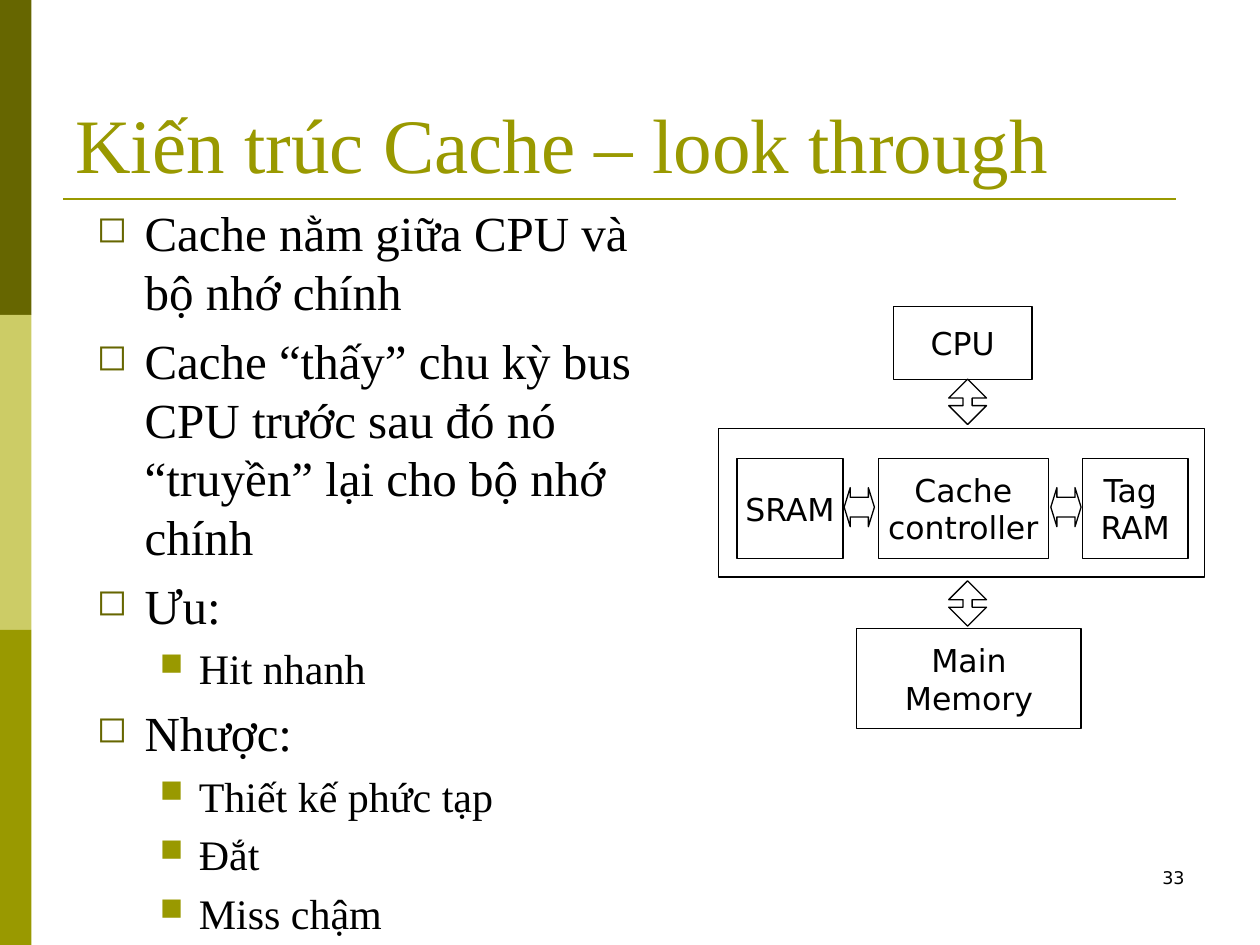
from typing import NamedTuple

from lxml import etree
from pptx import Presentation
from pptx.dml.color import RGBColor
from pptx.enum.shapes import MSO_CONNECTOR, MSO_SHAPE as Shape
from pptx.enum.text import MSO_ANCHOR as Anchor, PP_ALIGN as Align
from pptx.oxml.ns import qn
from pptx.util import Inches, Pt

SERIF, SANS = "Times New Roman", "DejaVu Sans"
BLACK, DARK_OLIVE, OLIVE, PALE_OLIVE = "000000", "666600", "999900", "CCCC66"


class Box(NamedTuple):
    left: float
    top: float
    width: float
    height: float

    def lengths(self):
        return [Inches(side) for side in self]


class Level(NamedTuple):
    margin: float
    hanging: float
    bullet: str
    bullet_color: str
    size: int


class Block(NamedTuple):
    box: Box
    lines: tuple[str, ...] = ()


class Arrow(NamedTuple):
    kind: Shape
    box: Box
    head: float


LEVELS = (
    Level(0.38, 0.38, "◻", DARK_OLIVE, 28),
    Level(0.81, 0.31, "■", OLIVE, 24),
)

POINTS = (
    (0, "Cache nằm giữa CPU và bộ nhớ chính"),
    (0, "Cache “thấy” chu kỳ bus CPU trước sau đó nó “truyền” lại cho bộ nhớ chính"),
    (0, "Ưu:"),
    (1, "Hit nhanh"),
    (0, "Nhược:"),
    (1, "Thiết kế phức tạp"),
    (1, "Đắt"),
    (1, "Miss chậm"),
)

BLOCKS = (
    Block(Box(8.59, 3.64, 0.84, 0.79), ("Tag ", "RAM")),
    Block(Box(5.7, 3.4, 3.86, 1.18)),
    Block(Box(6.8, 4.99, 1.78, 0.79), ("Main", "Memory")),
    Block(Box(7.09, 2.43, 1.1, 0.58), ("CPU",)),
    Block(Box(6.97, 3.64, 1.35, 0.79), ("Cache", "controller")),
    Block(Box(5.85, 3.64, 0.84, 0.79), ("SRAM",)),
)

ARROWS = (
    *(Arrow(Shape.LEFT_RIGHT_ARROW, Box(x, 3.87, 0.24, 0.31), 0.2) for x in (6.7, 8.34)),
    *(Arrow(Shape.UP_DOWN_ARROW, Box(7.53, y, 0.3, 0.36), 0.24) for y in (3.01, 4.61)),
)


def color(hex_code: str) -> RGBColor:
    return RGBColor.from_string(hex_code)


def add_run(paragraph, text: str, size: int, font: str, hex_code: str = BLACK) -> None:
    run = paragraph.add_run()
    run.text = text
    run.font.size = Pt(size)
    run.font.name = font
    run.font.color.rgb = color(hex_code)


def add_text_frame(slide, box: Box, anchor=Anchor.TOP):
    frame = slide.shapes.add_textbox(*box.lengths()).text_frame
    frame.word_wrap = True
    frame.vertical_anchor = anchor
    return frame


def set_bullet(paragraph, level: Level) -> None:
    props = paragraph._p.get_or_add_pPr()
    props.set("marL", str(Inches(level.margin)))
    props.set("indent", str(-Inches(level.hanging)))
    bullet_color = etree.SubElement(props, qn("a:buClr"))
    etree.SubElement(bullet_color, qn("a:srgbClr"), val=level.bullet_color)
    etree.SubElement(props, qn("a:buSzPct"), val="75000")
    etree.SubElement(props, qn("a:buChar"), char=level.bullet)


def add_outlined(slide, kind: Shape, box: Box):
    outlined = slide.shapes.add_shape(kind, *box.lengths())
    outlined.shadow.inherit = False
    outlined.fill.background()
    outlined.line.color.rgb = color(BLACK)
    outlined.line.width = Pt(0.75)
    return outlined


def add_block(slide, block: Block) -> None:
    frame = add_outlined(slide, Shape.RECTANGLE, block.box).text_frame
    if not block.lines:
        return
    frame.word_wrap = False
    frame.vertical_anchor = Anchor.MIDDLE
    label = frame.paragraphs[0]
    label.alignment = Align.CENTER
    for index, line in enumerate(block.lines):
        if index:
            label.add_line_break()
        add_run(label, line, 18, SANS)


def add_arrow(slide, arrow: Arrow) -> None:
    outlined = add_outlined(slide, arrow.kind, arrow.box)
    outlined.adjustments[0] = 0.5
    outlined.adjustments[1] = arrow.head


def add_decoration(slide) -> None:
    """Draw the side bands and the rule under the title."""
    for index, hex_code in enumerate((DARK_OLIVE, PALE_OLIVE, OLIVE)):
        band = slide.shapes.add_shape(Shape.RECTANGLE, *Box(0, 2.5 * index, 0.25, 2.5).lengths())
        band.shadow.inherit = False
        band.fill.solid()
        band.fill.fore_color.rgb = color(hex_code)
        band.line.fill.background()
    rule = slide.shapes.add_connector(
        MSO_CONNECTOR.STRAIGHT, Inches(0.5), Inches(1.58), Inches(9.33), Inches(1.58))
    rule.line.color.rgb = color(OLIVE)
    rule.line.width = Pt(1.5)
    etree.SubElement(rule._element.spPr, qn("a:effectLst"))


def add_points(slide) -> None:
    frame = add_text_frame(slide, Box(0.67, 1.56, 4.57, 5.39))
    for index, (depth, text) in enumerate(POINTS):
        level = LEVELS[depth]
        point = frame.add_paragraph() if index else frame.paragraphs[0]
        point.level = depth
        point.space_before = Pt(0.2 * level.size if index else 0)
        set_bullet(point, level)
        add_run(point, text, level.size, SERIF)


def main() -> None:
    deck = Presentation()
    deck.slide_width, deck.slide_height = Inches(10), Inches(7.5)
    slide = deck.slides.add_slide(deck.slide_layouts[6])

    add_decoration(slide)
    page_number = add_text_frame(slide, Box(7.17, 6.83, 2.33, 0.5)).paragraphs[0]
    page_number.alignment = Align.RIGHT
    add_run(page_number, "33", 10, SANS)
    title = add_text_frame(slide, Box(0.5, 0.3, 9, 1.25), Anchor.BOTTOM).paragraphs[0]
    add_run(title, "Kiến trúc Cache – look through", 44, SERIF, OLIVE)
    add_points(slide)
    for block in BLOCKS:
        add_block(slide, block)
    for arrow in ARROWS:
        add_arrow(slide, arrow)

    deck.save("out.pptx")


if __name__ == "__main__":
    main()
